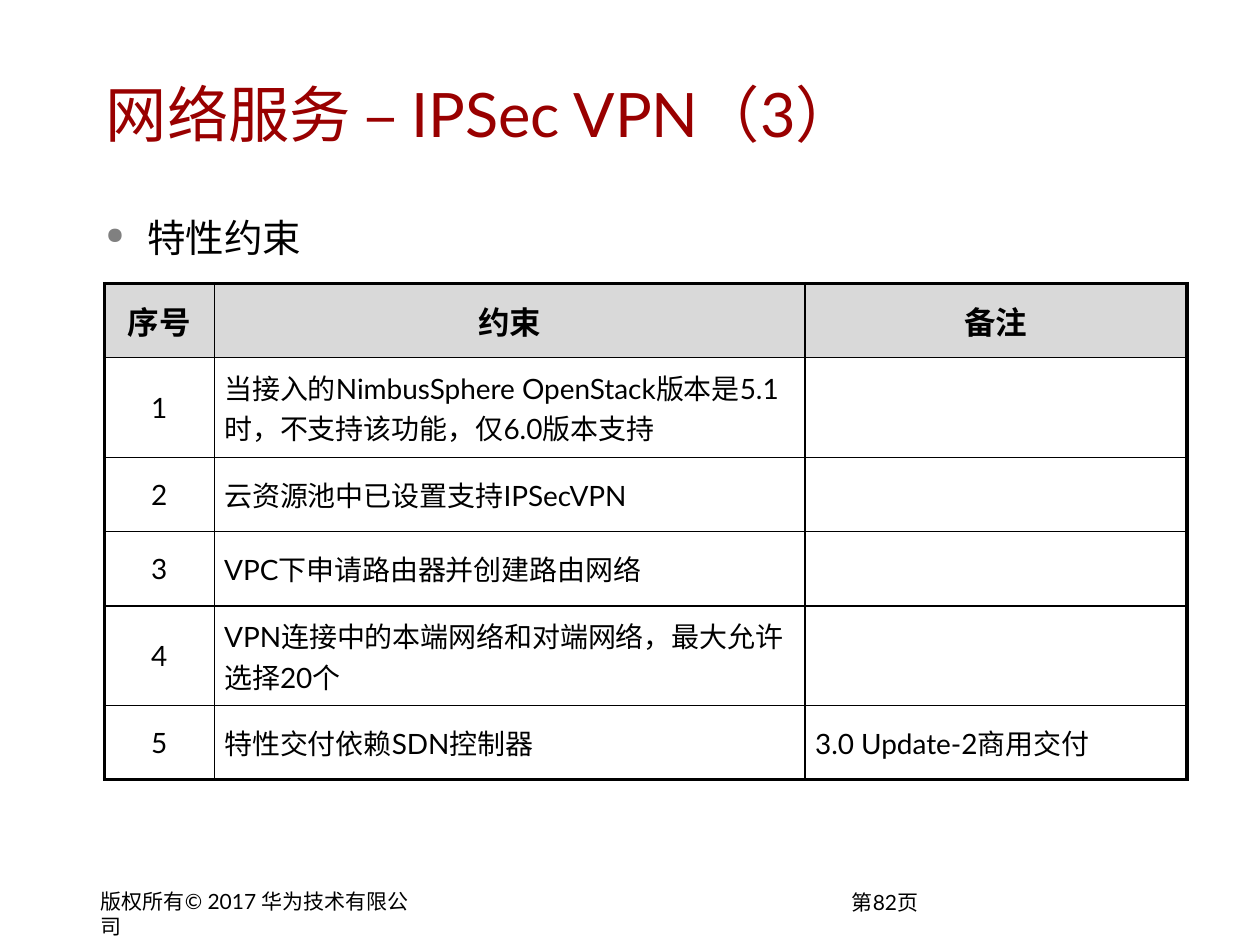
from dataclasses import dataclass
from lxml import etree
from pptx import Presentation
from pptx.dml.color import RGBColor
from pptx.enum.text import MSO_ANCHOR, MSO_AUTO_SIZE, PP_ALIGN
from pptx.oxml.ns import qn
from pptx.util import Inches, Pt

MIDDLE, TOP = MSO_ANCHOR.MIDDLE, MSO_ANCHOR.TOP
LEFT, CENTER = PP_ALIGN.LEFT, PP_ALIGN.CENTER
FIXED = MSO_AUTO_SIZE.NONE


@dataclass(frozen=True)
class Theme:
    font: str = "Lato"
    ink: str = "000000"
    red: str = "990000"
    gray: str = "808080"
    head: str = "D9D9D9"
    title: int = 35
    body: int = 22
    label: int = 18
    cell: int = 16
    foot: int = 12
    edge: float = 2.25
    grid: float = 0.75


THEME = Theme()

TITLE = "网络服务 – IPSec VPN（3）"
BULLET = "特性约束"
HEADS = ["序号", "约束", "备注"]
LIMITS = [
    ("当接入的NimbusSphere OpenStack版本是5.1时，不支持该功能，仅6.0版本支持", ""),
    ("云资源池中已设置支持IPSecVPN", ""),
    ("VPC下申请路由器并创建路由网络", ""),
    ("VPN连接中的本端网络和对端网络，最大允许选择20个", ""),
    ("特性交付依赖SDN控制器", "3.0 Update-2商用交付"),
]
FOOTERS = [
    ("第82页", (6.67, 7.02, 0.72, 0.29)),
    ("版权所有© 2017 华为技术有限公司", (0.71, 7.01, 2.79, 0.29)),
]
TITLE_BOX = (0.75, 0.42, 8.66, 0.95)
BODY_BOX = (0.75, 1.51, 8.66, 4.29)
TABLE_AT = (0.83, 2.25)
COLS = [0.87, 4.69, 3.03]
SHORT, TALL = 0.59, 0.79
ROWS = [SHORT, TALL, SHORT, SHORT, TALL, SHORT]


def write(frame, text, size, color=THEME.ink, bold=False, align=LEFT):
    para = frame.paragraphs[0]
    para.text = text
    para.alignment = align
    style = {"name": THEME.font, "size": Pt(size), "bold": bold}
    for font in (para.font, *(run.font for run in para.runs)):
        for key, value in style.items():
            setattr(font, key, value)
        font.color.rgb = RGBColor.from_string(color)
    return para


def place(shape, box, anchor=TOP):
    for key, value in zip(("left", "top", "width", "height"), box):
        setattr(shape, key, Inches(value))
    form = {"auto_size": FIXED, "word_wrap": True, "vertical_anchor": anchor,
            "margin_left": Inches(0.09), "margin_right": Inches(0.09),
            "margin_top": Inches(0.04), "margin_bottom": Inches(0.04)}
    for key, value in form.items():
        setattr(shape.text_frame, key, value)
    return shape.text_frame


def add_text(slide, box):
    return place(slide.shapes.add_textbox(0, 0, 0, 0), box)


def add_bullet(para):
    props = para._p.get_or_add_pPr()
    props.set("marL", str(Inches(0.33)))
    props.set("indent", str(-Inches(0.33)))
    color = etree.SubElement(props, qn("a:buClr"))
    etree.SubElement(color, qn("a:srgbClr"), val=THEME.gray)
    etree.SubElement(props, qn("a:buSzPct"), val="60000")
    etree.SubElement(props, qn("a:buChar"), char="●")


def set_border(cell, side, width):
    line = etree.Element(qn(f"a:ln{side}"), w=str(Pt(width)))
    fill = etree.SubElement(line, qn("a:solidFill"))
    etree.SubElement(fill, qn("a:srgbClr"), val=THEME.ink)
    return line


def frame_cell(cell, row, col):
    """Draw thick lines on the table's rim and thin ones inside."""
    rim = {"L": col == 0, "R": col == len(COLS) - 1,
           "T": row == 0, "B": row == len(ROWS) - 1}
    props = cell._tc.get_or_add_tcPr()
    for spot, (side, outer) in enumerate(rim.items()):
        width = THEME.edge if outer else THEME.grid
        props.insert(spot, set_border(cell, side, width))


def add_limits(slide):
    data = [HEADS] + [(str(n), *row) for n, row in enumerate(LIMITS, 1)]
    size = (sum(COLS), sum(ROWS))
    spot = [Inches(v) for v in (*TABLE_AT, *size)]
    table = slide.shapes.add_table(len(ROWS), len(COLS), *spot).table
    table.first_row = table.horz_banding = False
    for col, width in zip(table.columns, COLS):
        col.width = Inches(width)
    for row, height in zip(table.rows, ROWS):
        row.height = Inches(height)
    form = {"vertical_anchor": MIDDLE, "margin_top": 0, "margin_bottom": 0,
            "margin_left": Inches(0.08), "margin_right": Inches(0.08)}
    for r, texts in enumerate(data):
        for c, text in enumerate(texts):
            cell, head = table.cell(r, c), r == 0
            for key, value in form.items():
                setattr(cell, key, value)
            if head:
                cell.fill.solid()
                cell.fill.fore_color.rgb = RGBColor.from_string(THEME.head)
            else:
                cell.fill.background()
            write(cell.text_frame, text, THEME.label if head else THEME.cell,
                  bold=head, align=CENTER if head or c == 0 else LEFT)
            frame_cell(cell, r, c)


def main():
    deck = Presentation()
    deck.slide_width, deck.slide_height = Inches(10), Inches(7.5)
    slide = deck.slides.add_slide(deck.slide_layouts[5])
    for text, box in FOOTERS:
        write(add_text(slide, box), text, THEME.foot)
    title = place(slide.shapes.title, TITLE_BOX, MIDDLE)
    write(title, TITLE, THEME.title, THEME.red)
    body = add_text(slide, BODY_BOX)
    body.paragraphs[0].line_spacing = 1.4
    add_bullet(body.paragraphs[0])
    write(body, BULLET, THEME.body)
    add_limits(slide)
    deck.save("out.pptx")


if __name__ == "__main__":
    main()
